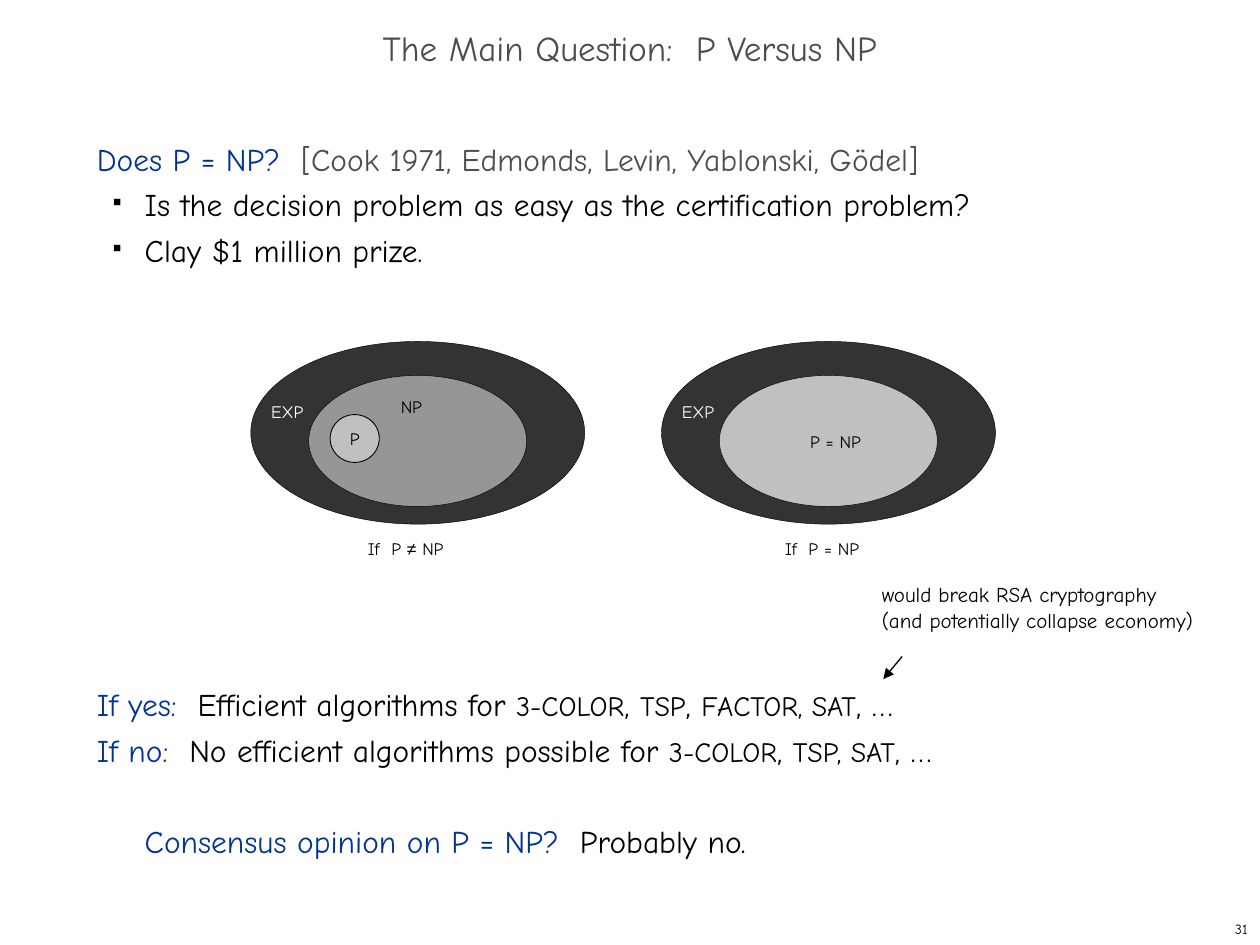
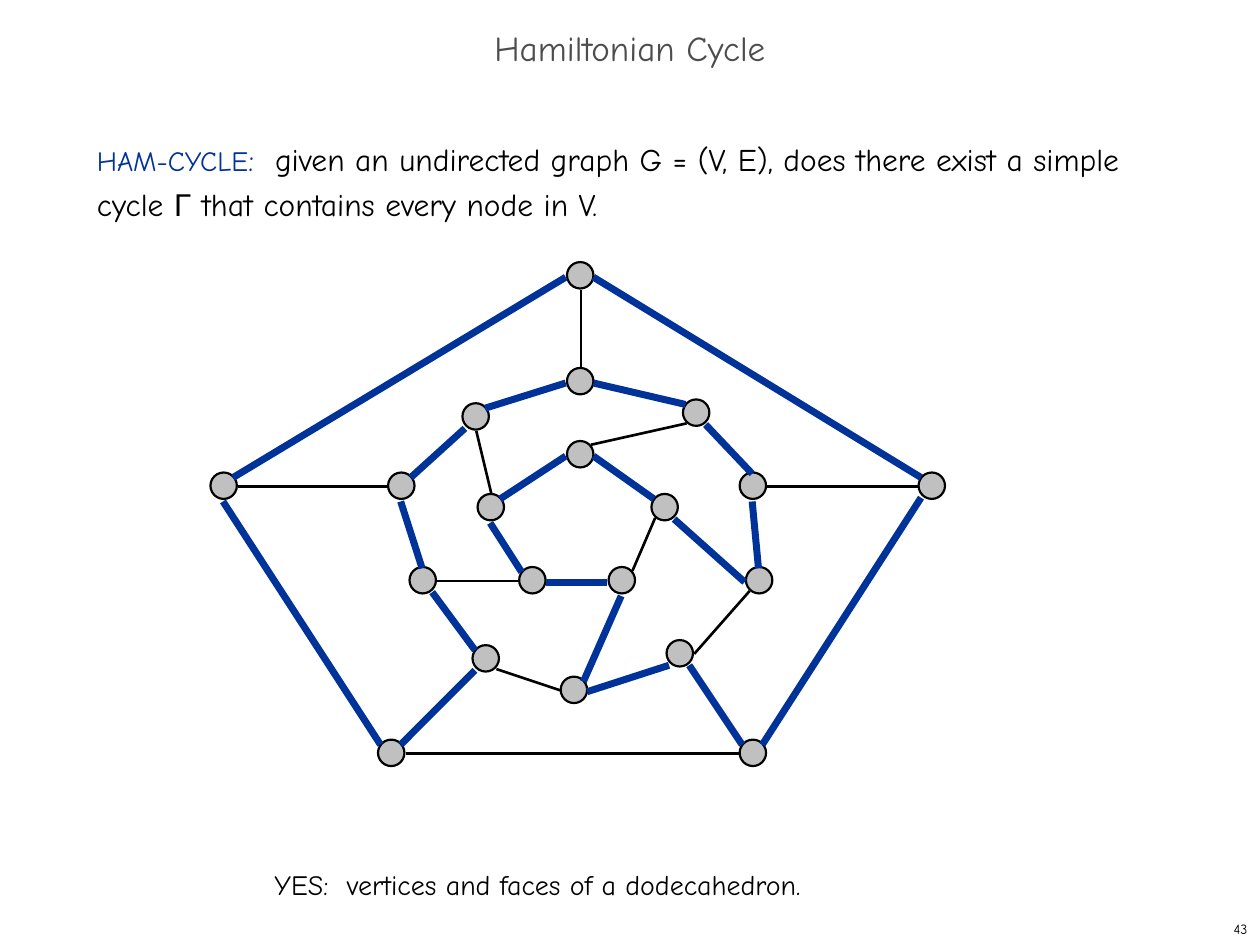
from lxml import etree
from pptx import Presentation, util as u
from pptx.dml.color import RGBColor
from pptx.enum import shapes, text
from pptx.oxml.ns import qn

PX = 9144  # EMU in one px, 100 px to the inch
COLORS = {
    "black": "000000", "white": "FFFFFF", "blue": "003399", "title": "4D4D4D",
    "exp": "333333", "np": "969696", "p": "C0C0C0",
}
BODY_LINE = u.Pt(26)
ALIGN = text.PP_ALIGN


def px(*lengths):
    return [u.Emu(length * PX) for length in lengths]


def rgb(name):
    return RGBColor.from_string(COLORS[name])


def add_bullet(paragraph):
    properties = paragraph._p.get_or_add_pPr()
    color = etree.SubElement(properties, qn("a:buClr"))
    etree.SubElement(color, qn("a:srgbClr"), val=COLORS["black"])
    etree.SubElement(properties, qn("a:buSzPct"), val="35000")
    etree.SubElement(properties, qn("a:buChar"), char="■")


def indent(paragraph, left, first=0):
    properties = paragraph._p.get_or_add_pPr()
    properties.set("marL", str(left * PX))
    properties.set("indent", str(first * PX))


def write(paragraph, *runs, size=10, color="black", align=ALIGN.LEFT, spacing=None):
    """Fill a paragraph; a run is a string or a (string, overrides) pair."""
    paragraph.alignment = align
    if spacing:
        paragraph.line_spacing = spacing
    for item in runs:
        words, changes = (item, {}) if isinstance(item, str) else item
        run = paragraph.add_run()
        run.text = words
        run.font.name = changes.get("font", "Comic Neue")
        run.font.size = u.Pt(changes.get("size", size))
        run.font.color.rgb = rgb(changes.get("color", color))


class Deck:
    """Holds the presentation, its shared style and the slide being built."""

    def __init__(self):
        self.presentation = Presentation()
        self.presentation.slide_width, self.presentation.slide_height = px(1000, 750)
        self.slide = None

    def new_slide(self, title, number):
        self.slide = self.presentation.slides.add_slide(self.presentation.slide_layouts[6])
        middle = text.MSO_ANCHOR.MIDDLE
        self.label((792, 725, 208, 25), number, size=8, align=ALIGN.RIGHT, anchor=middle)
        self.label((0, 17, 1000, 50), title, size=20, color="title", align=ALIGN.CENTER,
                   spacing=0.7, anchor=middle)

    def text_box(self, box, lines, anchor=text.MSO_ANCHOR.TOP, **style):
        """Add one paragraph for each list of runs and return the paragraphs."""
        frame = self.slide.shapes.add_textbox(*px(*box)).text_frame
        frame.word_wrap = True
        frame.vertical_anchor = anchor
        for index, runs in enumerate(lines):
            paragraph = frame.add_paragraph() if index else frame.paragraphs[0]
            write(paragraph, *runs, **style)
        return frame.paragraphs

    def label(self, box, *runs, **style):
        return self.text_box(box, [runs], **style)

    def body(self, top, height, *lines):
        return self.text_box((67, top, 858, height), lines, size=18, spacing=BODY_LINE)

    def ellipse(self, box, fill, weight):
        shape = self.slide.shapes.add_shape(shapes.MSO_SHAPE.OVAL, *px(*box))
        shape.shadow.inherit = False
        shape.fill.solid()
        shape.fill.fore_color.rgb = rgb(fill)
        shape.line.color.rgb = rgb("black")
        shape.line.width = u.Pt(weight)
        return shape

    def line(self, start, end, color="black", weight=1.5, arrow=False):
        connector = self.slide.shapes.add_connector(
            shapes.MSO_CONNECTOR.STRAIGHT, *px(*start, *end))
        connector.line.color.rgb = rgb(color)
        connector.line.width = u.Pt(weight)
        if arrow:
            etree.SubElement(connector.line._get_or_add_ln(), qn("a:tailEnd"), type="triangle")
        etree.SubElement(connector._element.spPr, qn("a:effectLst"))


def build_main_question(deck):
    deck.new_slide("The Main Question:  P Versus NP", "31")
    blue, small = {"color": "blue"}, {"size": 16}
    question = deck.body(
        100, 120,
        [("Does P = NP?  ", blue),
         ("[Cook 1971, Edmonds, Levin, Yablonski, Gödel]", {"color": "title"})],
        ["Is the decision problem as easy as the certification problem?"],
        ["Clay $1 million prize."])
    for paragraph in question[1:]:
        indent(paragraph, 38, -25)
        add_bullet(paragraph)
    answers = deck.body(
        533, 159,
        [("If yes:  ", blue), "Efficient algorithms for ", ("3-COLOR", small), ", ",
         ("TSP", small), ", ", ("FACTOR, SAT", small), ", …"],
        [("If no:  ", blue), "No efficient algorithms possible for ", ("3-COLOR", small), ", ",
         ("TSP, SAT", small), ", …"],
        [("Consensus opinion on P = NP?  ", blue), "Probably no."])
    indent(answers[2], 38)
    answers[2].space_before = BODY_LINE

    center = ALIGN.CENTER
    for left, inner_fill in ((199, "np"), (525, "p")):
        deck.ellipse((left, 271, 265, 145), "exp", 0.25)
        deck.label((left + 5, 313, 48, 27), "EXP", color="white", align=center)
        deck.ellipse((left + 46, 298, 173, 104), inner_fill, 0.25)
    deck.label((306, 309, 41, 27), "NP", align=center)
    p_circle = deck.ellipse((262, 329, 39, 38), "p", 0.5)
    p_circle.text_frame.word_wrap = False
    p_circle.text_frame.vertical_anchor = text.MSO_ANCHOR.MIDDLE
    write(p_circle.text_frame.paragraphs[0], "P", align=center)
    deck.label((602, 337, 122, 27), "P = NP", align=center)
    deck.label((271, 422, 102, 27), "If  P ", ("≠", {"font": "Arial"}), " NP", align=center)
    deck.label((602, 422, 101, 27), "If  P = NP", align=center)

    deck.text_box((690, 457, 283, 50), [["would break RSA cryptography"],
                                        ["(and potentially collapse economy)"]], size=12)
    deck.line((716, 521), (701, 539), weight=0.75, arrow=True)


# Node centres, each ring clockwise from its top: inner, middle, outer
NODES = {
    "i0": (461, 361), "i1": (528, 403), "i2": (494, 461), "i3": (423, 461), "i4": (390, 403),
    "m0": (461, 303), "m1": (553, 328), "m2": (598, 386), "m3": (603, 461), "m4": (540, 519),
    "m5": (456, 548), "m6": (386, 523), "m7": (336, 461), "m8": (319, 386), "m9": (378, 331),
    "o0": (461, 219), "o1": (740, 386), "o2": (598, 598), "o3": (311, 598), "o4": (178, 386),
}
# Edges off the cycle: node and side, then node and side
OTHER_EDGES = [
    "i2 ne i1 sw", "o3 e o2 w", "m3 sw m4 e", "m6 se m5 w", "m8 w o4 e",
    "m0 n o0 s", "m2 e o1 w", "i3 w m7 e", "i4 n m9 s", "m1 sw i0 ne",
]
# Stops of the cycle: side of entry, node, side of exit
CYCLE = [stop.split() for stop in (
    "w o0 e", "nw o1 sw", "ne o2 nw", "se m4 sw", "e m5 ne", "s i2 w", "e i3 nw",
    "s i4 ne", "w i0 e", "nw i1 se", "w m3 n", "s m2 n", "se m1 nw", "e m0 w",
    "ne m9 sw", "ne m8 s", "n m7 se", "nw m6 sw", "ne o3 nw", "s o4 ne")]


def rim_point(node, side, shift=0):
    """Point on a node's rim at a compass side, moved left and down by shift."""
    reach = 11 if len(side) == 1 else 8
    x, y = NODES[node]
    return (x + reach * (("e" in side) - ("w" in side)) - shift,
            y + reach * (("s" in side) - ("n" in side)) + shift)


def build_hamiltonian_cycle(deck):
    deck.new_slide("Hamiltonian Cycle", "43")
    deck.body(100, 592, [
        ("HAM-CYCLE", {"size": 16, "color": "blue"}), (":  ", {"color": "blue"}),
        "given an undirected graph G = (V, E), does there exist a simple cycle ",
        ("Γ", {"font": "Arial"}), " that contains every node in V."])
    for x, y in NODES.values():
        deck.ellipse((x - 11, y - 11, 21, 21), "p", 1.25)
    for edge in OTHER_EDGES:
        start, start_side, end, end_side = edge.split()
        deck.line(rim_point(start, start_side), rim_point(end, end_side))
    for (_, start, leave), (enter, end, _) in zip(CYCLE, CYCLE[1:] + CYCLE[:1]):
        deck.line(rim_point(start, leave, 1), rim_point(end, enter, 1), color="blue", weight=4)
    deck.label((208, 684, 592, 37), "YES:  vertices and faces of a dodecahedron.", size=16)


def main():
    deck = Deck()
    build_main_question(deck)
    build_hamiltonian_cycle(deck)
    deck.presentation.save("out.pptx")


if __name__ == "__main__":
    main()
